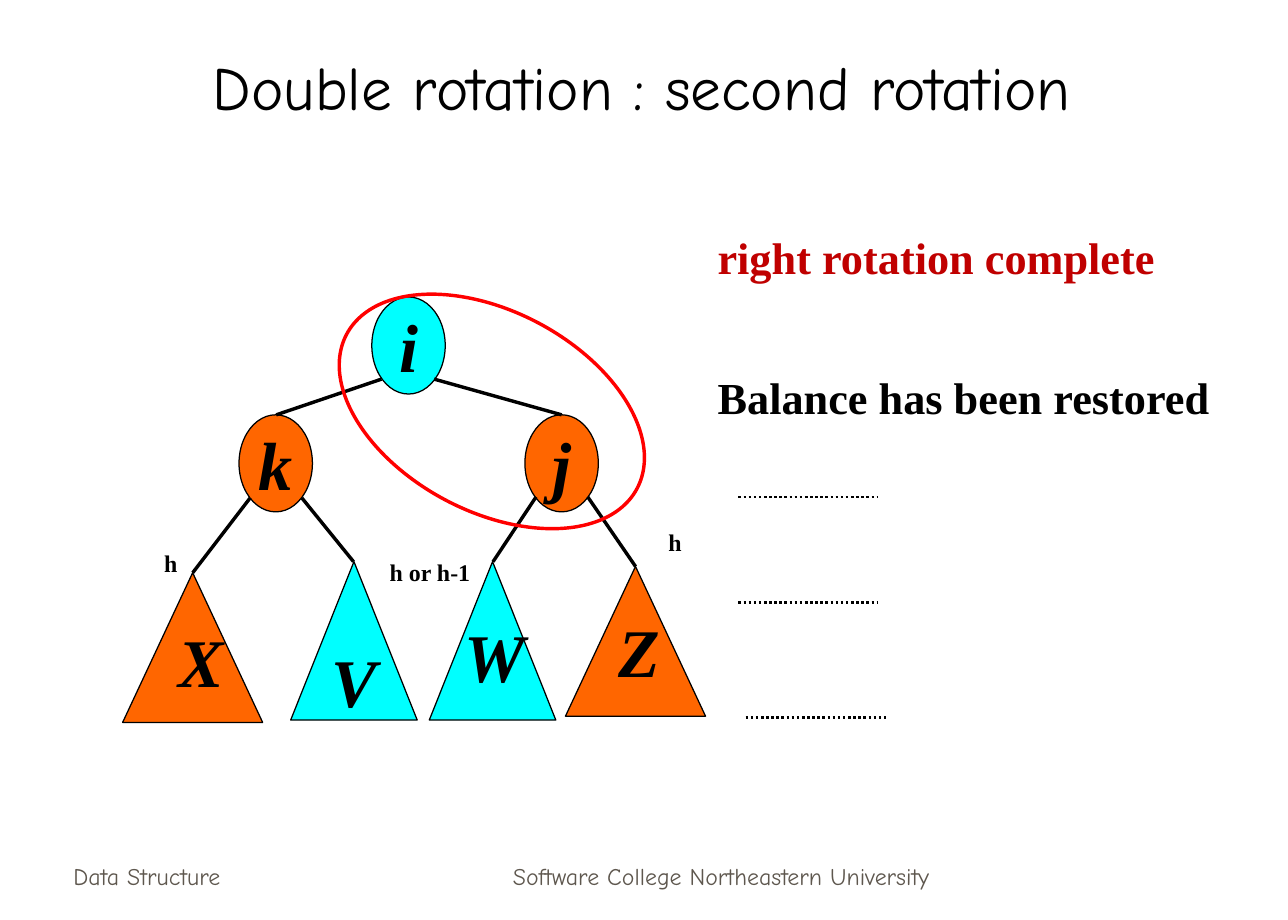
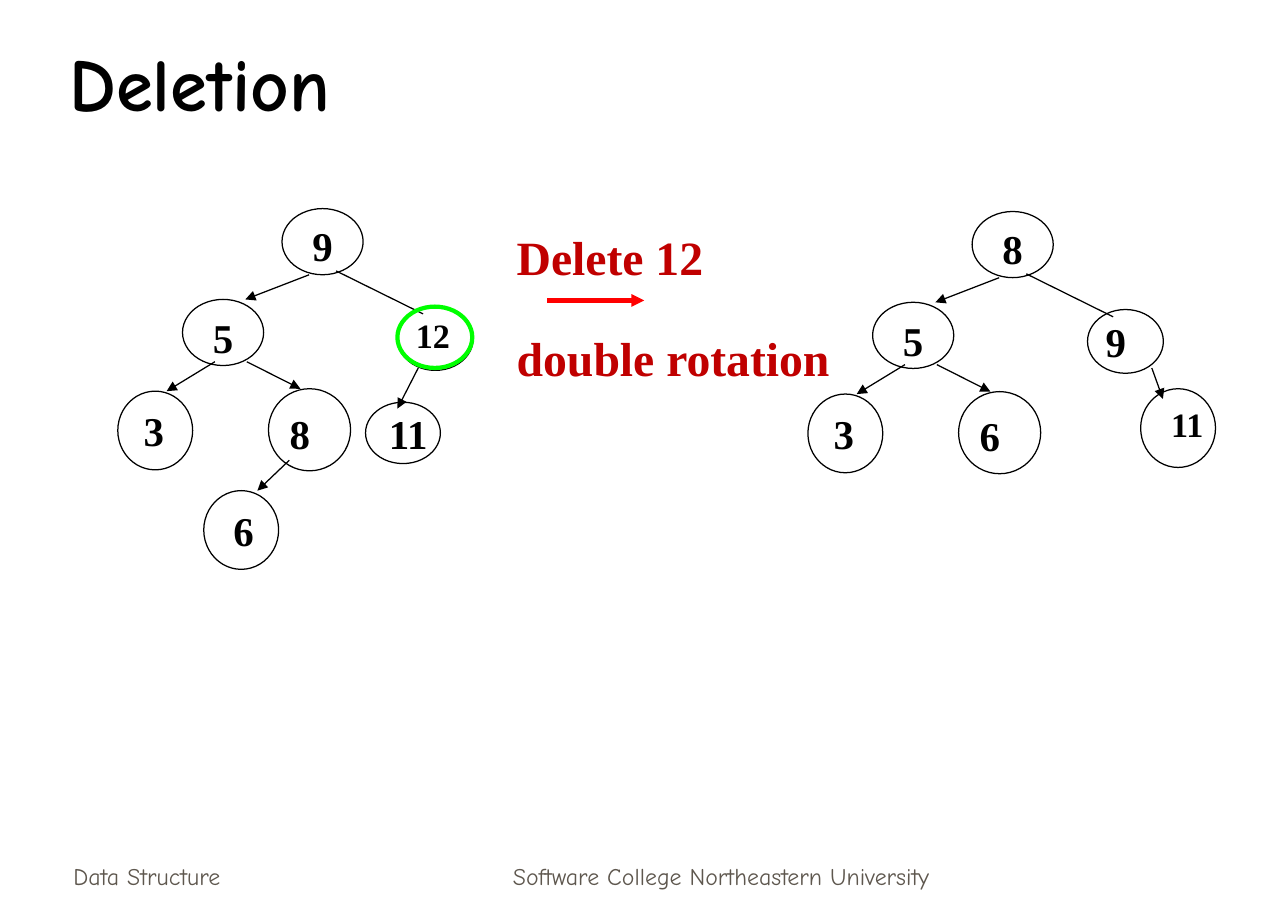
from dataclasses import dataclass

from pptx import Presentation
from pptx.dml.color import RGBColor
from pptx.enum.dml import MSO_LINE
from pptx.enum.shapes import MSO_CONNECTOR, MSO_SHAPE
from pptx.enum.text import MSO_ANCHOR, PP_ALIGN
from pptx.oxml.ns import qn
from pptx.util import Cm, Pt
from lxml.etree import SubElement


@dataclass(frozen=True)
class Theme:
    black: str = "000000"
    grey: str = "5E574E"
    dark_red: str = "C00000"
    red: str = "FF0000"
    green: str = "00FF00"
    orange: str = "FF6600"
    cyan: str = "00FFFF"
    display: str = "Comic Neue"
    serif: str = "Times New Roman"
    letter: int = 40
    title: int = 36
    big_title: int = 44
    callout: int = 28
    remark: int = 26
    key: int = 24
    small_key: int = 20
    note: int = 14
    thin: float = 0.75
    dotted: float = 1.5
    edge: float = 2
    bold_line: float = 2.5


T = Theme()


class Deck:
    def __init__(self):
        self.prs = Presentation()
        self.prs.slide_width, self.prs.slide_height = Cm(26.67), Cm(19.05)
        self.s = None

    def new_slide(self):
        """Start a slide with the shared footers."""
        self.s = self.prs.slides.add_slide(self.prs.slide_layouts[6])
        footer = dict(size=T.note, font=T.display, color=T.grey,
                      bold=False, anchor=MSO_ANCHOR.BOTTOM)
        self.text("Data Structure", 1.27, 17.3, 5.56, 1.27, **footer)
        self.text("Software College Northeastern University",
                  9.12, 17.3, 11.63, 1.27, align=PP_ALIGN.CENTER, **footer)

    def title(self, text, x, y, w, h, **style):
        self.text(text, x, y, w, h, font=T.display,
                  anchor=MSO_ANCHOR.BOTTOM, **style)

    def add_run(self, tf, text, size, font=T.serif, color=T.black, bold=True,
                italic=False, align=PP_ALIGN.LEFT):
        p = tf.paragraphs[0]
        p.alignment = align
        r = p.add_run()
        r.text = text
        r.font.name, r.font.size = font, Pt(size)
        r.font.bold, r.font.italic = bold, italic
        r.font.color.rgb = RGBColor.from_string(color)

    def text(self, text, x, y, w, h, anchor=MSO_ANCHOR.TOP, **style):
        tf = self.s.shapes.add_textbox(Cm(x), Cm(y), Cm(w), Cm(h)).text_frame
        tf.word_wrap = True
        tf.vertical_anchor = anchor
        self.add_run(tf, text, **style)

    def shape(self, kind, x, y, w, h, fill=None, line=T.black, width=T.thin):
        sp = self.s.shapes.add_shape(kind, Cm(x), Cm(y), Cm(w), Cm(h))
        sp.shadow.inherit = False
        if fill:
            sp.fill.solid()
            sp.fill.fore_color.rgb = RGBColor.from_string(fill)
        else:
            sp.fill.background()
        sp.line.color.rgb = RGBColor.from_string(line)
        sp.line.width = Pt(width)
        return sp

    def label(self, sp, text, size, dx=0, dy=0, italic=False):
        """Centre text in a shape, moved by dx and dy through the insets."""
        tf = sp.text_frame
        tf.word_wrap = False
        tf.vertical_anchor = MSO_ANCHOR.MIDDLE
        tf.margin_left, tf.margin_right = Cm(max(2 * dx, 0)), Cm(max(-2 * dx, 0))
        tf.margin_top, tf.margin_bottom = Cm(max(2 * dy, 0)), Cm(max(-2 * dy, 0))
        self.add_run(tf, text, size, italic=italic, align=PP_ALIGN.CENTER)

    def node(self, text, x, y, w, h, dx=0, dy=0, size=T.key):
        self.label(self.shape(MSO_SHAPE.OVAL, x, y, w, h), text, size, dx, dy)

    def line(self, x1, y1, x2, y2, color=T.black, width=T.thin,
             arrow=False, dash=None):
        c = self.s.shapes.add_connector(MSO_CONNECTOR.STRAIGHT,
                                        Cm(x1), Cm(y1), Cm(x2), Cm(y2))
        c.line.color.rgb = RGBColor.from_string(color)
        c.line.width = Pt(width)
        if dash:
            c.line.dash_style = dash
        sp_pr = c._element.spPr
        if arrow:
            SubElement(sp_pr.find(qn("a:ln")), qn("a:tailEnd"), type="triangle")
        SubElement(sp_pr, qn("a:effectLst"))

    def search_tree(self, x, y, root, left, right, left_left, left_right):
        """Draw five nodes and their edges; right is (key, dx, dy, size)."""
        self.node(root, x + 5.84, y + 4.32, 1.68, 1.37, dy=0.08)
        self.node(left, x + 3.78, y + 6.2, 1.68, 1.37, dy=0.1)
        key, *style = right
        self.node(key, x + 8.23, y + 6.35, 1.57, 1.32, *style)
        self.node(left_left, x + 2.44, y + 8.1, 1.55, 1.63, dx=-0.03)
        self.node(left_right, x + 5.56, y + 8.05, 1.7, 1.7, dx=-0.2, dy=0.06)
        for x1, y1, x2, y2, arrow in ((6.4, 5.69, 5.08, 6.2, True),
                                      (6.96, 5.61, 8.76, 6.5, False),
                                      (4.45, 7.49, 3.45, 8.1, True),
                                      (5.11, 7.49, 6.22, 8.05, True)):
            self.line(x + x1, y + y1, x + x2, y + y2, arrow=arrow)


def rotation_slide(d):
    d.new_slide()
    d.title("Double rotation : second rotation", 1.9, 0.43, 22.78, 2.24,
            size=T.title, bold=False, align=PP_ALIGN.CENTER)
    d.text("right rotation complete", 14.61, 4.65, 10, 1.37,
           size=T.remark, color=T.dark_red)
    d.text("Balance has been restored", 14.61, 7.54, 11.9, 1.37, size=T.remark)

    for x, y, w, h, fill in ((2.54, 11.86, 2.9, 3.1, T.orange),
                             (8.89, 11.63, 2.62, 3.28, T.cyan),
                             (11.71, 11.73, 2.9, 3.1, T.orange)):
        d.shape(MSO_SHAPE.ISOSCELES_TRIANGLE, x, y, w, h, fill)
    v = d.shape(MSO_SHAPE.ISOSCELES_TRIANGLE, 6.02, 11.63, 2.62, 3.28, T.cyan)
    d.label(v, "V", T.letter, italic=True)
    for letter, x, y in (("X", 3.45, 12.7), ("W", 9.37, 12.6), ("Z", 12.55, 12.5)):
        d.text(letter, x, y, 1.85, 1.96, size=T.letter, italic=True)

    for letter, x, y, fill in (("i", 7.7, 6.15, T.cyan),
                               ("k", 4.95, 8.59, T.orange),
                               ("j", 10.87, 8.59, T.orange)):
        circle = d.shape(MSO_SHAPE.OVAL, x, y, 1.52, 2.01, fill)
        d.label(circle, letter, T.letter, italic=True)
    for ends in ((7.9, 7.85, 5.72, 8.59), (8.99, 7.85, 11.63, 8.59),
                 (5.18, 10.31, 3.99, 11.86), (6.25, 10.31, 7.32, 11.63),
                 (11.1, 10.29, 10.21, 11.63), (12.17, 10.29, 13.16, 11.73)):
        d.line(*ends, width=T.edge)
    for x, y in ((15.29, 10.29), (15.29, 12.47), (15.44, 14.86)):
        d.line(x, y, x + 2.9, y, width=T.dotted, dash=MSO_LINE.ROUND_DOT)

    ring = d.shape(MSO_SHAPE.OVAL, 6.78, 6.45, 6.81, 4.14,
                   line=T.red, width=T.edge)
    ring.rotation = 28
    for height, x, y, w in (("h", 13.59, 10.8, 0.9), ("h", 3.15, 11.23, 0.9),
                            ("h or h-1", 7.82, 11.43, 2.4)):
        d.text(height, x, y, w, 0.86, size=T.note)


def deletion_slide(d):
    d.new_slide()
    d.title("Deletion", 1.19, 0.64, 22.68, 2.11, size=T.big_title)

    d.search_tree(0, 0, "9", "5", ("12", -0.05, -0.08, T.small_key), "3", "8")
    d.node("11", 7.57, 8.33, 1.55, 1.27, dx=0.11)
    d.node("6", 4.22, 10.16, 1.55, 1.63, dx=0.05)
    d.line(8.66, 7.62, 8.23, 8.46, arrow=True)
    d.line(5.99, 9.53, 5.33, 10.16, arrow=True)
    d.shape(MSO_SHAPE.OVAL, 8.23, 6.35, 1.55, 1.27,
            line=T.green, width=T.bold_line)

    for step, y in (("Delete 12", 4.6), ("double rotation", 6.68)):
        d.text(step, 10.45, y, 7.5, 1.45, size=T.callout, color=T.dark_red)
    d.line(11.33, 6.22, 13.34, 6.22, T.red, T.bold_line, arrow=True)

    d.search_tree(14.29, 0.06, "8", "5", ("9", -0.2), "3", "6")
    d.node("11", 23.62, 8.05, 1.55, 1.63, 0.19, -0.08, T.small_key)
    d.line(23.85, 7.62, 24.08, 8.26, arrow=True)


def main():
    d = Deck()
    rotation_slide(d)
    deletion_slide(d)
    d.prs.save("out.pptx")


if __name__ == "__main__":
    main()
